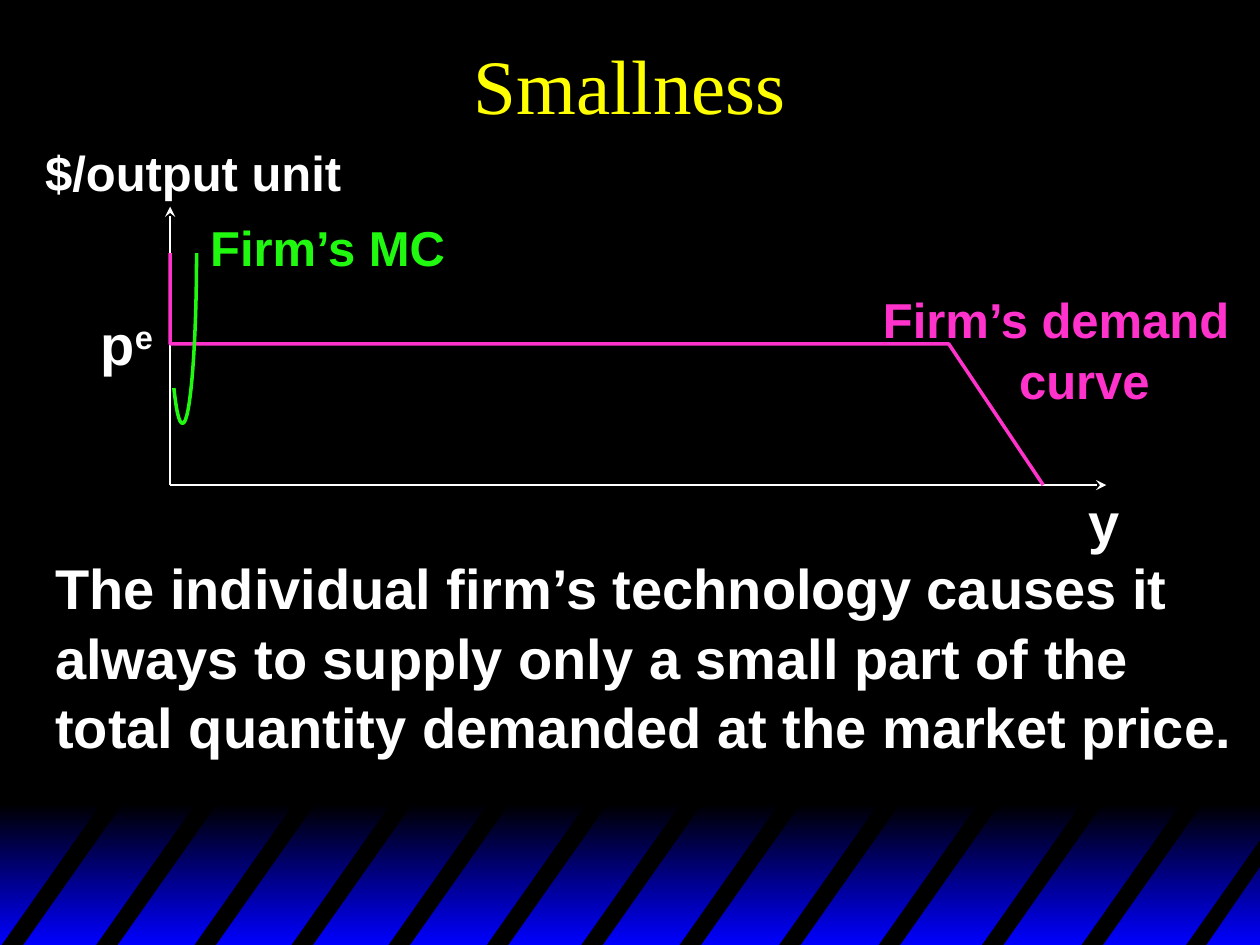
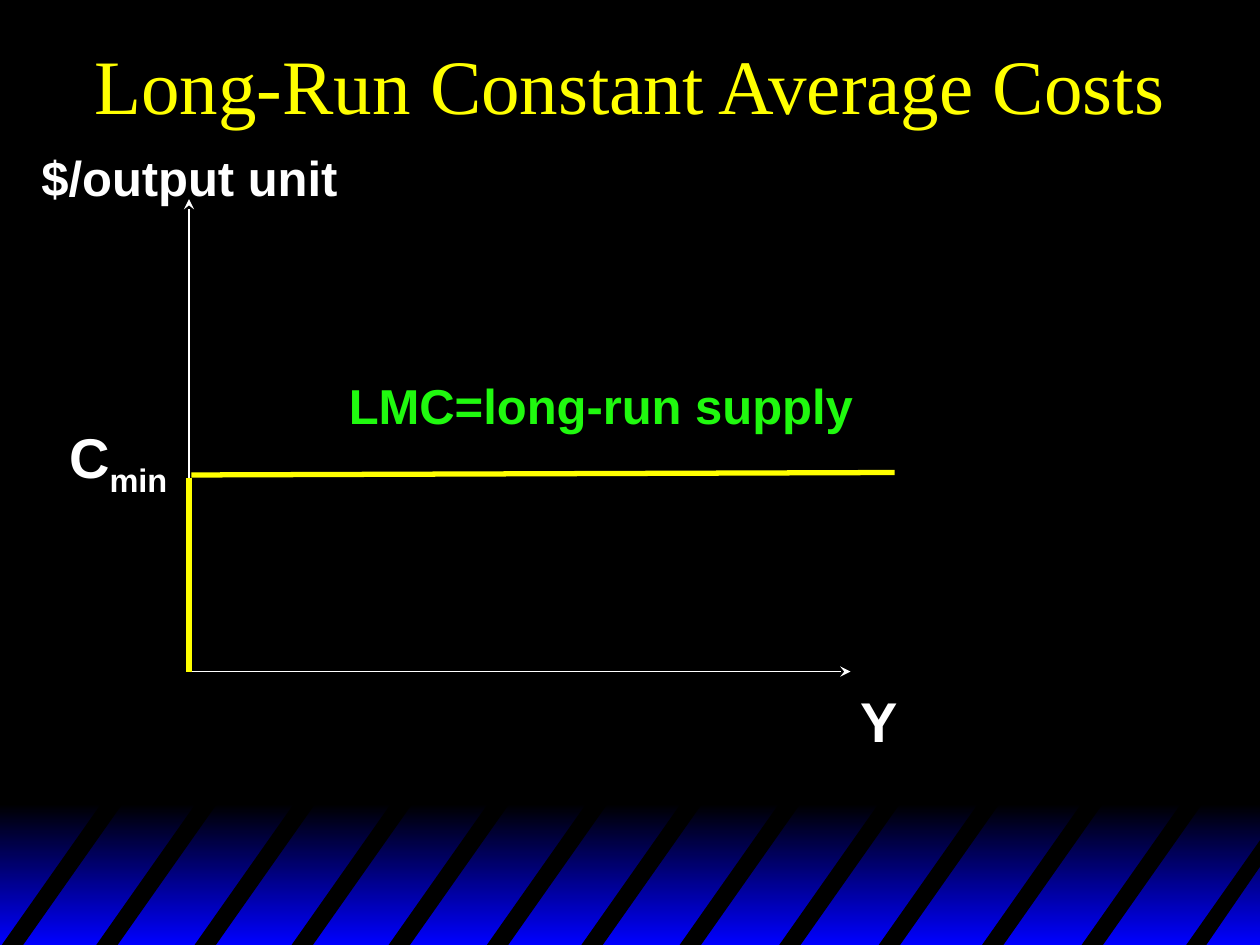
"""Build two slides on a firm's demand and its long-run supply."""
from dataclasses import dataclass

from lxml import etree
from pptx import Presentation
from pptx import util as u
from pptx.dml.color import RGBColor
from pptx.enum import shapes, text
from pptx.oxml.ns import qn

EMU_PER_PX = 9144
SLIDE_WIDTH, SLIDE_HEIGHT = 1000, 750
COLOURS = {
    "black": "000000",
    "blue": "0000FF",
    "white": "FFFFFF",
    "yellow": "FFFF00",
    "green": "20F90F",
    "pink": "FF33CC",
}
TITLE_FONT, LABEL_FONT = "Times New Roman", "Arial"
LABEL_LEADING = 1.04

BAND_TOP, BAND_WIDTH, BAND_HEIGHT = 638, 1002, 112
STRIPE_TOP, STRIPE_BOTTOM = 634, 752
STRIPE_LEAN, STRIPE_WIDTH = 83, 17
STRIPE_LEFTS = (0, 75, 153, 230, 307, 385, 460, 538, 617, 696, 778, 857)
CUT_STRIPE = ((940, 752), (1002, 664), (1002, 685), (956, 752))

Point = tuple[int, int]


@dataclass(frozen=True)
class Label:
    lines: tuple[str, ...]
    left: int
    top: int
    width: int
    height: int
    size: int = 28
    colour: str = "white"
    script: str = ""
    baseline: int = 0
    last_indent: int = 0


@dataclass(frozen=True)
class Stroke:
    points: tuple[Point, ...]
    colour: str
    weight: int
    curved: bool = False
    arrow: bool = False


@dataclass(frozen=True)
class Diagram:
    title: str
    origin: Point
    price_tip: int
    output_tip: int
    strokes: tuple[Stroke, ...]
    labels: tuple[Label, ...]


SMALLNESS = Diagram(
    "Smallness", (135, 385), 164, 878,
    (
        Stroke(((828, 385), (753, 273), (135, 273), (135, 201)), "pink", 2),
        Stroke(((156, 201), (156, 275), (151, 336), (145, 336),
                (142, 336), (140, 326), (138, 308)), "green", 2, curved=True),
    ),
    (
        Label(("$/output unit",), 26, 106, 255, 57),
        Label(("y",), 854, 380, 45, 63, 32),
        Label(("Firm’s MC",), 157, 166, 208, 57, colour="green"),
        Label(("The individual firm’s technology causes it",
               "always to supply only a small part of the",
               "total quantity demanded at the market price."),
              34, 432, 955, 170, 32),
        Label(("Firm’s demand", "curve"), 691, 223, 296, 104,
              colour="pink", last_indent=108),
        Label(("p",), 70, 239, 62, 63, 32, script="e", baseline=30),
    ),
)

CONSTANT_COSTS = Diagram(
    "Long-Run Constant Average Costs", (150, 533), 158, 675,
    (
        Stroke(((152, 377), (710, 375)), "yellow", 3),
        Stroke(((150, 533), (150, 379)), "yellow", 3),
    ),
    (
        Label(("Y",), 673, 538, 50, 63, 32),
        Label(("$/output unit",), 23, 110, 255, 57),
        Label(("LMC=long-run supply",), 267, 291, 420, 57, colour="green"),
        Label(("C",), 45, 328, 98, 71, 32, script="min", baseline=-25),
    ),
)


def px(length: int) -> u.Emu:
    return u.Emu(length * EMU_PER_PX)


def rgb(colour: str) -> RGBColor:
    return RGBColor.from_string(COLOURS[colour])


def style_font(font, face: str, size: int, colour: str, bold: bool) -> None:
    font.name, font.size, font.bold = face, u.Pt(size), bold
    font.color.rgb = rgb(colour)


def add_outline(slide, points: tuple[Point, ...], close: bool):
    builder = slide.shapes.build_freeform(*points[0], scale=EMU_PER_PX)
    builder.add_line_segments(points[1:], close=close)
    outline = builder.convert_to_shape()
    outline.shadow.inherit = False
    return outline


def bend(outline) -> None:
    segments = list(outline.element.iter(qn("a:lnTo")))
    for start in range(0, len(segments), 3):
        bezier = etree.Element(qn("a:cubicBezTo"))
        segments[start].addprevious(bezier)
        for segment in segments[start:start + 3]:
            bezier.append(segment[0])
            segment.getparent().remove(segment)


def add_line(slide, stroke: Stroke):
    start, end = stroke.points
    line = slide.shapes.add_connector(
        shapes.MSO_CONNECTOR.STRAIGHT, *map(px, start + end))
    etree.SubElement(line.element.spPr, qn("a:effectLst"))
    return line


def add_stroke(slide, stroke: Stroke) -> None:
    if len(stroke.points) == 2:
        drawn = add_line(slide, stroke)
    else:
        drawn = add_outline(slide, stroke.points, close=False)
        drawn.fill.background()
    drawn.line.color.rgb = rgb(stroke.colour)
    drawn.line.width = u.Pt(stroke.weight)
    if stroke.curved:
        bend(drawn)
    if stroke.arrow:
        outline = drawn.element.spPr.find(qn("a:ln"))
        etree.SubElement(outline, qn("a:tailEnd"), type="stealth")


def add_label(slide, label: Label) -> None:
    box = slide.shapes.add_textbox(
        *map(px, (label.left, label.top, label.width, label.height)))
    frame = box.text_frame
    frame.word_wrap = False
    frame.auto_size = text.MSO_AUTO_SIZE.SHAPE_TO_FIT_TEXT
    frame.text = "\n".join(label.lines)
    last = frame.paragraphs[-1]
    if label.last_indent:
        last._p.get_or_add_pPr().set("marL", str(px(label.last_indent)))
    if label.script:
        script = last.add_run()
        script.text = label.script
        script._r.get_or_add_rPr().set("baseline", str(label.baseline * 1000))
    for paragraph in frame.paragraphs:
        paragraph.line_spacing = LABEL_LEADING
        style_font(paragraph.font, LABEL_FONT, label.size, label.colour, True)


def add_striped_band(slide) -> None:
    band = slide.shapes.add_shape(
        shapes.MSO_SHAPE.RECTANGLE,
        *map(px, (0, BAND_TOP, BAND_WIDTH, BAND_HEIGHT)))
    band.shadow.inherit = False
    band.line.fill.background()
    band.fill.gradient()
    band.fill.gradient_angle = 270
    for stop, colour in zip(band.fill.gradient_stops, ("black", "blue")):
        stop.color.rgb = rgb(colour)
    stripes = [
        ((left, STRIPE_BOTTOM), (left + STRIPE_LEAN, STRIPE_TOP),
         (left + STRIPE_LEAN + STRIPE_WIDTH, STRIPE_TOP),
         (left + STRIPE_WIDTH, STRIPE_BOTTOM))
        for left in STRIPE_LEFTS
    ]
    for corners in (*stripes, CUT_STRIPE):
        stripe = add_outline(slide, corners, close=True)
        stripe.fill.solid()
        stripe.fill.fore_color.rgb = rgb("black")
        stripe.line.fill.background()


def set_title(slide, wording: str) -> None:
    title = slide.shapes.title
    title.left, title.top, title.width, title.height = map(
        px, (0, 0, SLIDE_WIDTH, 133))
    frame = title.text_frame
    frame.text = wording
    frame.auto_size = text.MSO_AUTO_SIZE.NONE
    frame.vertical_anchor = text.MSO_ANCHOR.MIDDLE
    heading = frame.paragraphs[0]
    heading.alignment = text.PP_ALIGN.CENTER
    style_font(heading.font, TITLE_FONT, 44, "yellow", False)


def add_diagram_slide(deck, diagram: Diagram) -> None:
    slide = deck.slides.add_slide(deck.slide_layouts.get_by_name("Title Only"))
    add_striped_band(slide)
    set_title(slide, diagram.title)
    across, down = diagram.origin
    for tip in ((across, diagram.price_tip), (diagram.output_tip, down)):
        add_stroke(slide, Stroke((diagram.origin, tip), "white", 1, arrow=True))
    for stroke in diagram.strokes:
        add_stroke(slide, stroke)
    for label in diagram.labels:
        add_label(slide, label)


def main() -> None:
    deck = Presentation()
    deck.slide_width, deck.slide_height = px(SLIDE_WIDTH), px(SLIDE_HEIGHT)
    backdrop = deck.slide_master.background.fill
    backdrop.solid()
    backdrop.fore_color.rgb = rgb("black")
    for diagram in (SMALLNESS, CONSTANT_COSTS):
        add_diagram_slide(deck, diagram)
    deck.save("out.pptx")


if __name__ == "__main__":
    main()
